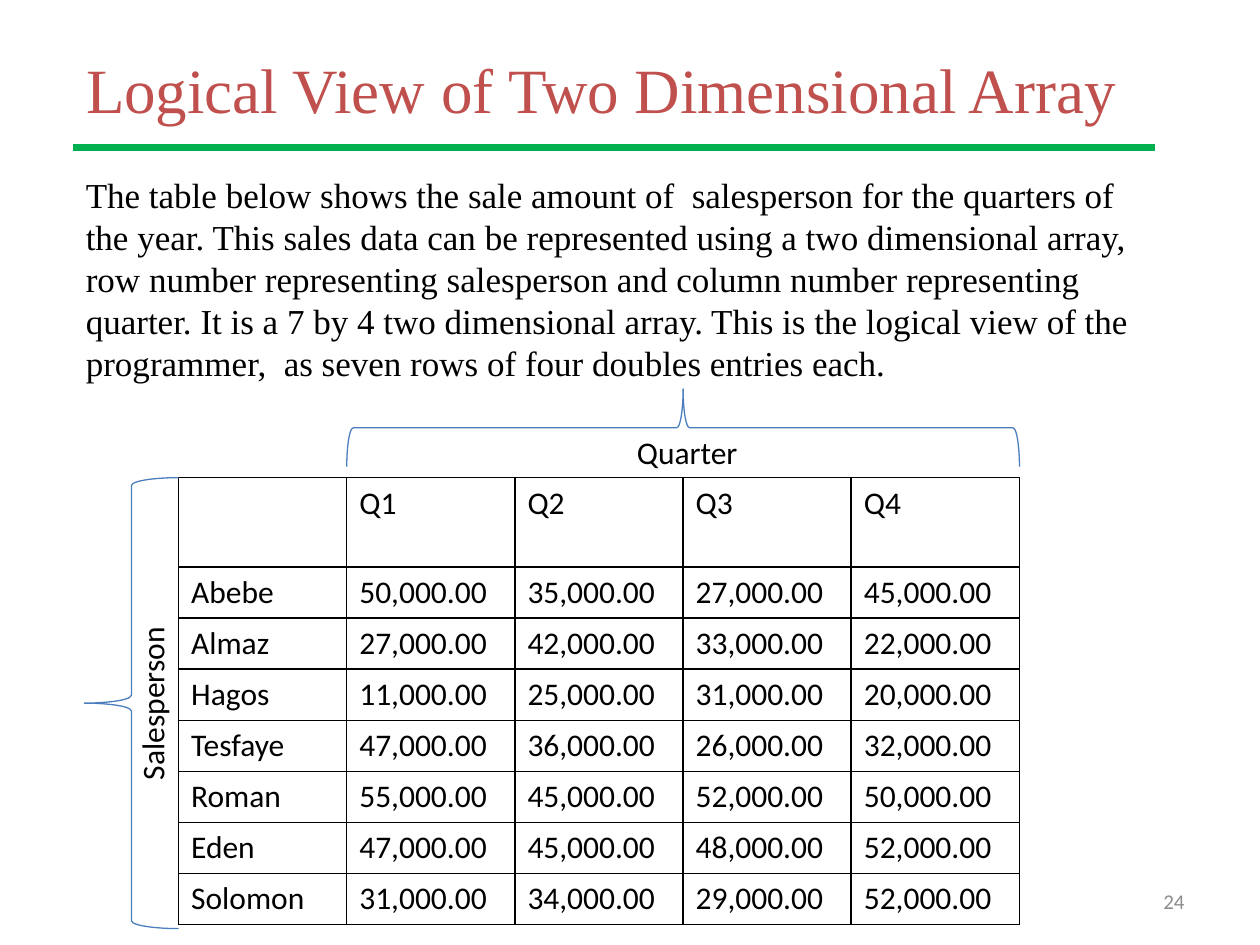
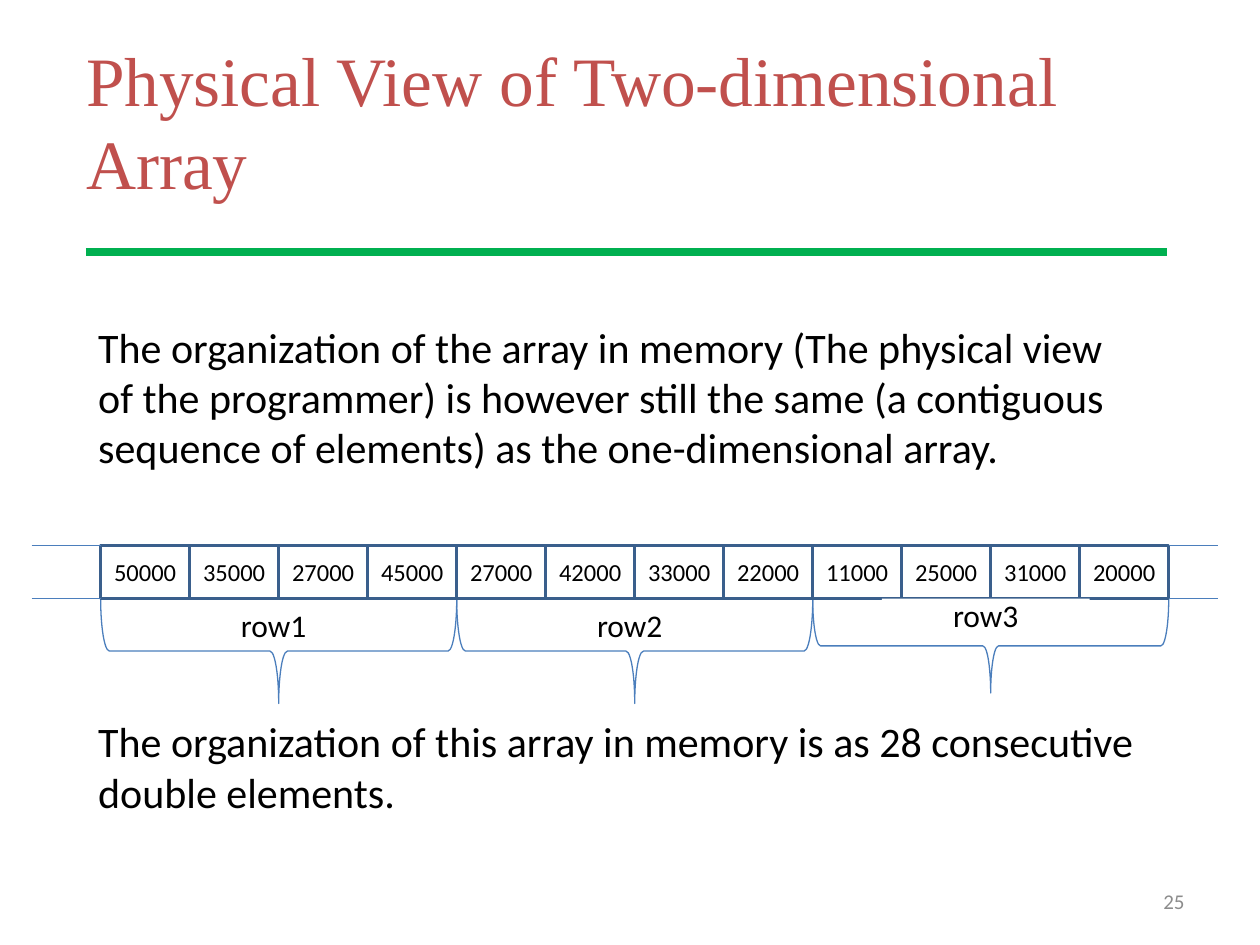
from dataclasses import dataclass

from lxml.etree import SubElement
from pptx import Presentation
from pptx.dml.color import RGBColor
from pptx.enum.shapes import MSO_CONNECTOR, MSO_SHAPE
from pptx.enum.text import MSO_ANCHOR, MSO_AUTO_SIZE, PP_ALIGN
from pptx.oxml.ns import qn
from pptx.util import Cm, Pt

QUARTERS = ["Q1", "Q2", "Q3", "Q4"]
SALES = {
    "Abebe": [50000, 35000, 27000, 45000],
    "Almaz": [27000, 42000, 33000, 22000],
    "Hagos": [11000, 25000, 31000, 20000],
    "Tesfaye": [47000, 36000, 26000, 32000],
    "Roman": [55000, 45000, 52000, 50000],
    "Eden": [47000, 45000, 48000, 52000],
    "Solomon": [31000, 34000, 29000, 52000],
}
LOGICAL = {
    "title": "Logical View of Two Dimensional Array",
    "body": ["The table below shows the sale amount of  salesperson for the quarters of "
             "the year. This sales data can be represented using a two dimensional array, "
             "row number representing salesperson and column number representing quarter. "
             "It is a 7 by 4 two dimensional array. This is the logical view of the "
             "programmer,  as seven rows of four doubles entries each."],
    "number": "24",
}
PHYSICAL = {
    "title": "Physical View of Two-dimensional Array",
    "body": ["The organization of the array in memory (The physical view of the programmer) "
             "is however still the same (a contiguous sequence of elements) as the "
             "one-dimensional array.",
             "The organization of this array in memory is as 28 consecutive double elements."],
    "number": "25",
}
# Label, label top, brace height
MEMORY_ROWS = [("row1", 12.27, 2.11), ("row2", 12.27, 2.11), ("row3", 12.07, 1.9)]


@dataclass(frozen=True)
class Theme:
    title_color = RGBColor(0xC0, 0x50, 0x4D)
    rule_color = RGBColor(0x00, 0xB0, 0x50)
    brace_color = RGBColor(0x4B, 0x7E, 0xBC)
    cell_color = RGBColor(0x3A, 0x5F, 0x8C)
    number_color = RGBColor(0x8C, 0x8C, 0x8C)
    black = RGBColor(0, 0, 0)
    white = RGBColor(255, 255, 255)
    serif = "Times New Roman"
    sans = "Calibri"
    label_size = 18
    cell_size = 14
    number_size = 12
    rule_width = 4.25
    thin = 0.75
    cell_width = 2


THEME = Theme()


def lengths(box):
    return [Cm(value) for value in box]


def write(paragraph, text, size, font=THEME.sans, color=THEME.black, align=PP_ALIGN.LEFT):
    paragraph.alignment = align
    run = paragraph.add_run()
    run.text = text
    run.font.size = Pt(size)
    run.font.name = font
    run.font.color.rgb = color


def add_line(slide, start, end, color, width):
    line = slide.shapes.add_connector(MSO_CONNECTOR.STRAIGHT, *lengths(start + end))
    line.line.color.rgb = color
    line.line.width = Pt(width)
    SubElement(line._element.spPr, qn("a:effectLst"))


def add_text_box(slide, box, anchor=MSO_ANCHOR.TOP):
    frame = slide.shapes.add_textbox(*lengths(box)).text_frame
    frame.word_wrap = True
    frame.vertical_anchor = anchor
    return frame


def add_rotated(slide, kind, box, rotation):
    """Add a shape whose box is given as seen after the rotation."""
    left, top, width, height = box
    if rotation in (90, 270):
        shift = (width - height) / 2
        left, top, width, height = left + shift, top - shift, height, width
    shape = slide.shapes.add_shape(kind, *lengths((left, top, width, height)))
    shape.rotation = rotation
    shape.shadow.inherit = False
    return shape


def add_brace(slide, box, rotation=0):
    brace = add_rotated(slide, MSO_SHAPE.LEFT_BRACE, box, rotation)
    brace.fill.background()
    brace.line.color.rgb = THEME.brace_color
    brace.line.width = Pt(THEME.thin)


def add_box(slide, box, text, size=THEME.label_size, rotation=0, outlined=False):
    shape = add_rotated(slide, MSO_SHAPE.RECTANGLE, box, rotation)
    shape.fill.solid()
    shape.fill.fore_color.rgb = THEME.white
    if outlined:
        shape.line.color.rgb = THEME.cell_color
        shape.line.width = Pt(THEME.cell_width)
    else:
        shape.line.fill.background()
    frame = shape.text_frame
    frame.margin_left = frame.margin_right = frame.margin_top = frame.margin_bottom = 0
    frame.vertical_anchor = MSO_ANCHOR.MIDDLE
    write(frame.paragraphs[0], text, size, align=PP_ALIGN.CENTER)


def add_page(presentation, content, title_height, title_size, rule_start):
    """Add a slide with its title, green rule and slide number."""
    slide = presentation.slides.add_slide(presentation.slide_layouts[5])
    title = slide.shapes.title
    title.left, title.top, title.width, title.height = lengths((1.48, 0.84, 22.86, title_height))
    frame = title.text_frame
    frame.auto_size = MSO_AUTO_SIZE.NONE
    frame.vertical_anchor = MSO_ANCHOR.MIDDLE
    write(frame.paragraphs[0], content["title"], title_size, THEME.serif, THEME.title_color)
    left, top = rule_start
    add_line(slide, rule_start, (left + 21.8, top), THEME.rule_color, THEME.rule_width)
    number = add_text_box(slide, (18.21, 17.65, 5.92, 1.02), MSO_ANCHOR.MIDDLE)
    write(number.paragraphs[0], content["number"], THEME.number_size,
          color=THEME.number_color, align=PP_ALIGN.RIGHT)
    return slide


def add_body(slide, paragraphs, position, size, font, gap=0):
    frame = add_text_box(slide, position + (21.59, 11.43))
    for index, text in enumerate(paragraphs):
        paragraph = frame.add_paragraph() if index else frame.paragraphs[0]
        if index:
            paragraph.space_before = Pt(gap)
        write(paragraph, text, size, font)


def add_borders(cell):
    properties = cell._tc.get_or_add_tcPr()
    for side in ("a:lnL", "a:lnR", "a:lnT", "a:lnB"):
        border = SubElement(properties, qn(side), w=str(Pt(1)))
        fill = SubElement(border, qn("a:solidFill"))
        SubElement(fill, qn("a:srgbClr"), val=str(THEME.black))


def add_sales_table(slide, left, top, column_width, header_height, row_height):
    rows = [[""] + QUARTERS]
    rows += [[name] + [f"{amount:,.2f}" for amount in amounts] for name, amounts in SALES.items()]
    width = column_width * len(rows[0])
    height = header_height + row_height * len(SALES)
    table = slide.shapes.add_table(len(rows), len(rows[0]),
                                   *lengths((left, top, width, height))).table
    table.first_row = table.horz_banding = False
    for column in table.columns:
        column.width = Cm(column_width)
    for row_index, texts in enumerate(rows):
        table.rows[row_index].height = Cm(row_height if row_index else header_height)
        for column_index, text in enumerate(texts):
            cell = table.cell(row_index, column_index)
            add_borders(cell)
            cell.fill.background()
            if text:
                write(cell.text_frame.paragraphs[0], text, THEME.label_size)


def build_logical_view(presentation):
    slide = add_page(presentation, LOGICAL, 1.9, 36, (1.48, 2.97))
    add_body(slide, LOGICAL["body"], (1.48, 3.38), 20, THEME.serif)
    left, top, column_width = 3.6, 9.63, 3.39
    add_sales_table(slide, left, top, column_width, 1.8, 1.03)
    add_brace(slide, (left + column_width, 7.84, column_width * len(QUARTERS), 1.57), 90)
    add_box(slide, (11.63, 8.79, 4.45, 0.64), "Quarter")
    add_brace(slide, (1.7, top, 1.9, 9.09))
    add_box(slide, (2.74, 11.96, 0.64, 4.45), "Salesperson", rotation=270)


def build_physical_view(presentation):
    slide = add_page(presentation, PHYSICAL, 3.18, 39.6, (1.73, 5.08))
    add_body(slide, PHYSICAL["body"], (1.73, 6.35), 24, THEME.sans, gap=139)
    left, top, right, bottom = 2.03, 11, 23.56, 12.07
    group_width = (right - left) / len(MEMORY_ROWS)
    cell_width = group_width / len(QUARTERS)
    groups = [(left + index * group_width, *row) for index, row in enumerate(MEMORY_ROWS)]

    for group_left, _, _, brace_height in groups:
        add_brace(slide, (group_left, bottom, group_width, brace_height), 270)
    stored_rows = list(SALES.values())[:len(MEMORY_ROWS)]
    for index, amount in enumerate(sum(stored_rows, [])):
        add_box(slide, (left + index * cell_width, top, cell_width, bottom - top),
                str(amount), THEME.cell_size, outlined=True)
    for edge in (top, bottom):
        for start, end in ((0.64, left), (right, 24.56)):
            add_line(slide, (start, edge), (end, edge), THEME.brace_color, THEME.thin)
    label_width = 4.19
    for group_left, label, label_top, _ in groups:
        label_left = group_left + (group_width - label_width) / 2 - 0.1
        add_box(slide, (label_left, label_top, label_width, 0.64), label)


def main():
    presentation = Presentation()
    presentation.slide_width, presentation.slide_height = Cm(25.4), Cm(19.05)
    build_logical_view(presentation)
    build_physical_view(presentation)
    presentation.save("out.pptx")


if __name__ == "__main__":
    main()
